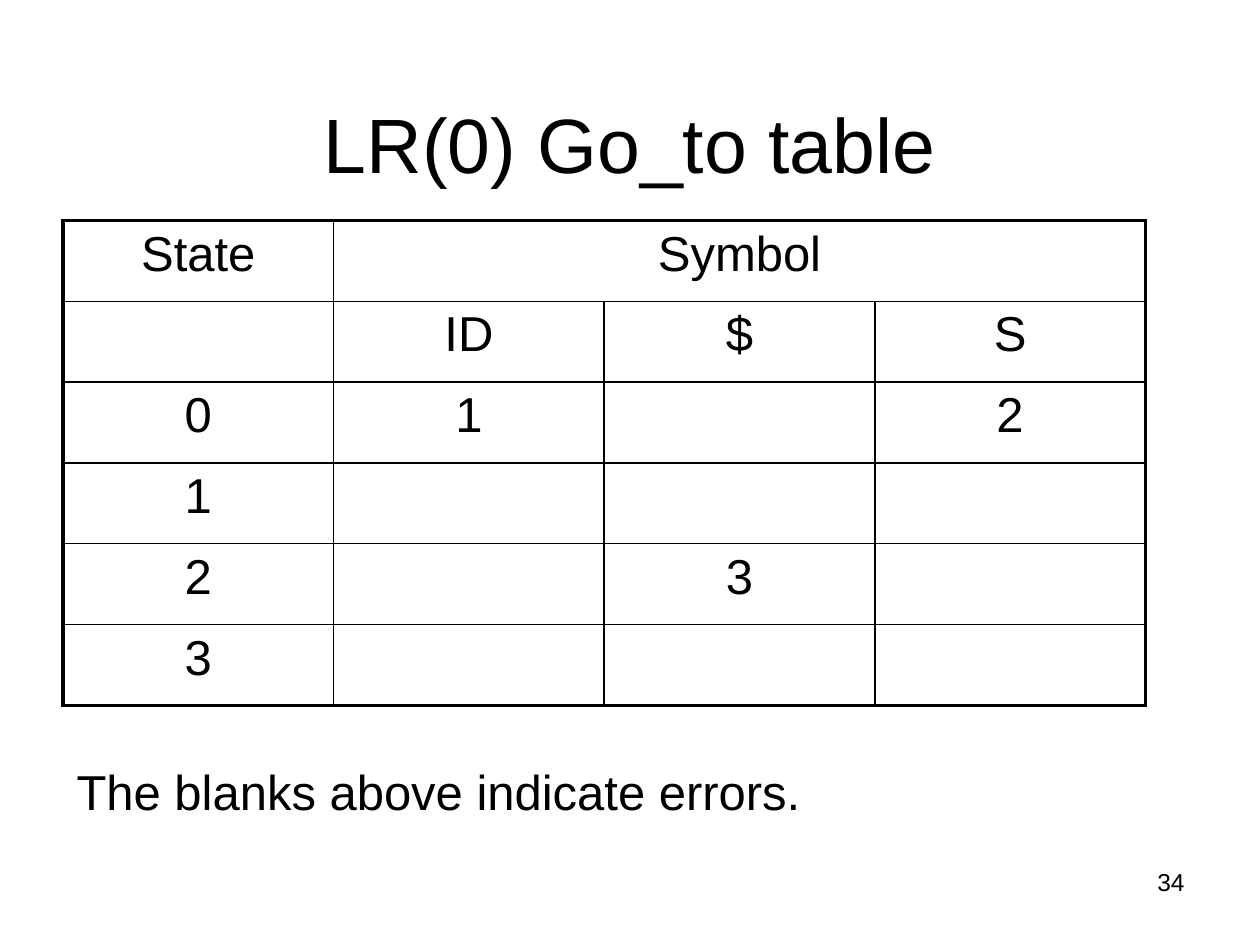
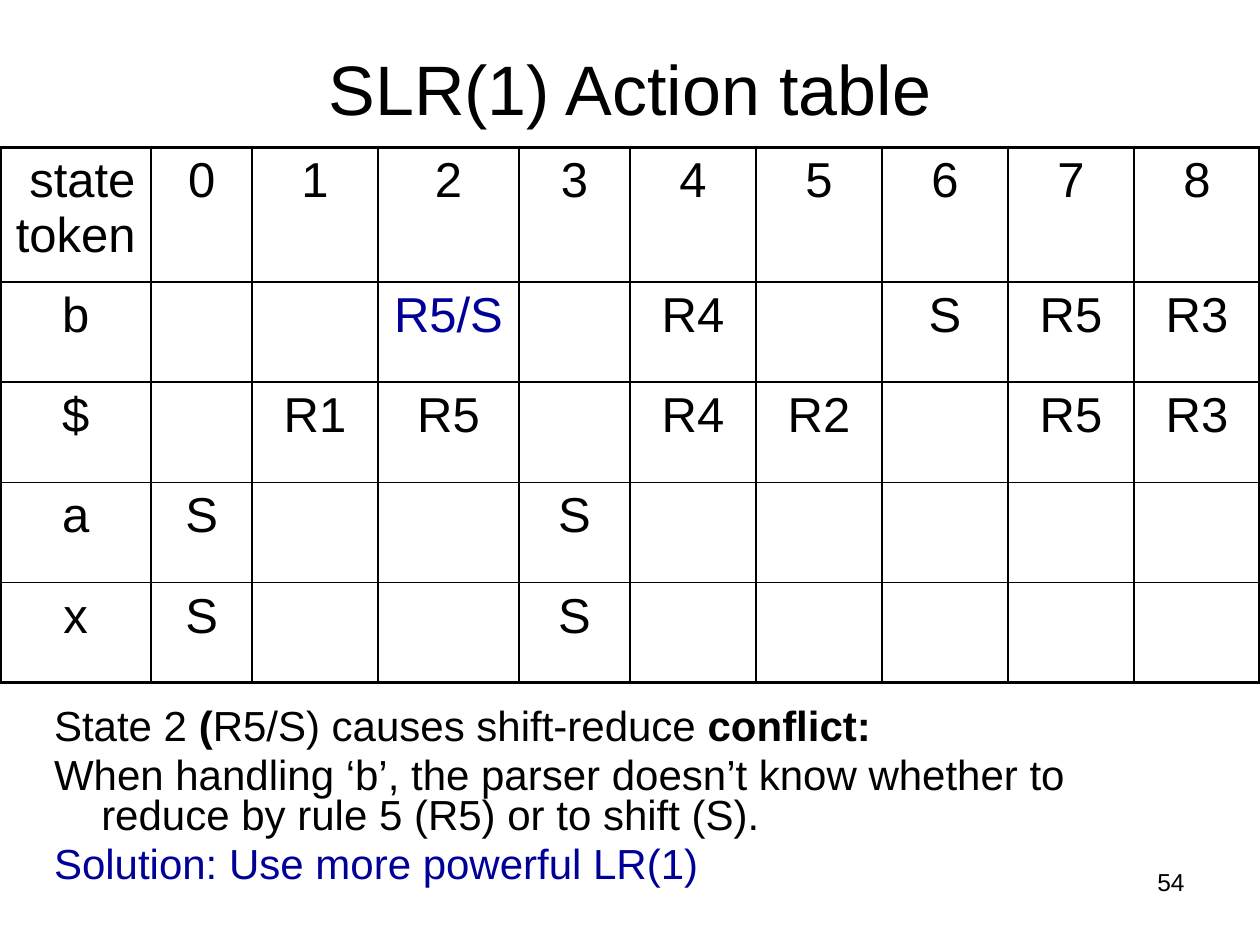
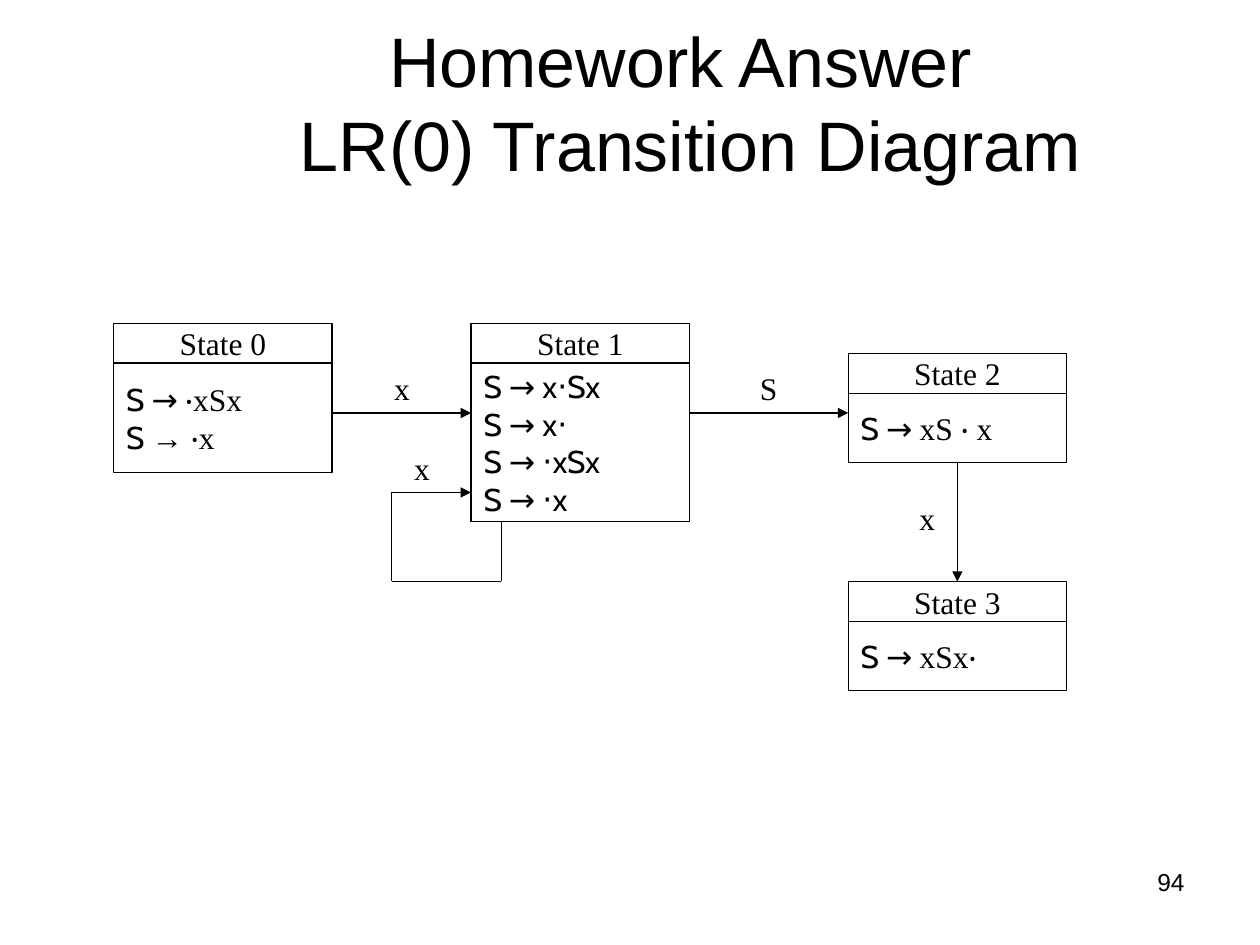
from itertools import pairwise

from lxml.etree import SubElement
from pptx import Presentation
from pptx.dml.color import RGBColor
from pptx.enum.shapes import MSO_CONNECTOR as Connector, MSO_SHAPE as Shape
from pptx.enum.text import MSO_ANCHOR as Anchor, PP_ALIGN as Align
from pptx.oxml.ns import qn
from pptx.util import Pt

BLACK, WHITE, BLUE = "000000", "FFFFFF", "000099"
SANS, SERIF, ITEM = "Arial", "Times New Roman", "Cabin"
THIN, THICK, HAIR = 1, 2.25, 0.75

GOTO = {
    "page": "34",
    "title": (["LR(0) Go_to table"], (36, 21.6, 648, 90), 44),
    "origin": (36, 126),
    "columns": [154.65] * 4,
    "heights": [46.2] * 6,
    "merge": ((0, 1), (0, 3)),
    "rows": [
        ["State", "Symbol", "", ""],
        ["", "ID", "$", "S"],
        ["0", "1", "", "2"],
        ["1", "", "", ""],
        ["2", "", "3", ""],
        ["3", "", "", ""],
    ],
    "remarks": [[("The blanks above indicate errors.", False, BLACK)]],
    "remark_style": ((36.7, 435.6, 432, 44), 28, 0.9),
}

ACTION = {
    "page": "54",
    "title": (["SLR(1) Action table"], (36, 21.6, 648, 56.2), 40),
    "origin": (0, 84.2),
    "columns": [86.4, 57.6, 72, 80.6, 63.4] + [72] * 5,
    "heights": [77] + [57.25] * 4,
    "merge": None,
    "rows": [
        [" state token", "0", "1", "2", "3", "4", "5", "6", "7", "8"],
        ["b", "", "", "R5/S", "", "R4", "", "S", "R5", "R3"],
        ["$", "", "R1", "R5", "", "R4", "R2", "", "R5", "R3"],
        ["a", "S", "", "", "S", "", "", "", "", ""],
        ["x", "S", "", "", "S", "", "", "", "", ""],
    ],
    "remarks": [
        [("State 2 ", False, BLACK), ("(", True, BLACK),
         ("R5/S) causes shift-reduce ", False, BLACK), ("conflict:", True, BLACK)],
        [("When handling ‘b’, the parser doesn’t know whether to "
          "reduce by rule 5 (R5) or to shift (S).", False, BLACK)],
        [("Solution: Use more powerful LR(1)", False, BLUE)],
    ],
    "remark_style": ((23.8, 401.8, 652.3, 108.7), 24, 0.8),
}
CONFLICT = "R5/S"

DIAGRAM_PAGE = "94"
DIAGRAM_TITLE = (["Homework Answer ", "LR(0) Transition Diagram"],
                 (87.8, 54.7, 613.4, 54.7), 40)
STATE_WIDTH, HEADER_HEIGHT = 124.8, 22.7
STATES = [
    ("State 0", 65, 184.8, 62.4,
     [[("S → ", ITEM), ("‧xSx", SERIF)], [("S ", ITEM), ("→ ‧x", SERIF)]]),
    ("State 1", 269.2, 184.8, 90.7,
     [[("S → x‧Sx", ITEM)], [("S → x‧", ITEM)],
      [("S → ‧xSx", ITEM)], [("S → ‧x", ITEM)]]),
    ("State 2", 484.7, 202, 39.6, [[("S → ", ITEM), ("xS ‧ x", SERIF)]]),
    ("State 3", 484.7, 332.4, 39.6, [[("S → ", ITEM), ("xSx‧", SERIF)]]),
]
SHIFT_Y = 236
LOOP = [(286.4, 298.2), (286.4, 332.3), (223.8, 332.3), (223.8, 281.4), (269.2, 281.4)]
EDGE_LABELS = [("x", 229.7, 258.5), ("x", 218.2, 213.1),
               ("S", 427.7, 213.1), ("x", 518.4, 287.3)]
LABEL_SIZE = (23, 17.3)


def color(hex_code):
    return RGBColor.from_string(hex_code)


def points(*lengths):
    return [Pt(length) for length in lengths]


def add_run(paragraph, text, size, font=SANS, tint=BLACK, bold=False):
    run = paragraph.add_run()
    run.text = text
    run.font.size = Pt(size)
    run.font.name = font
    run.font.bold = bold
    run.font.color.rgb = color(tint)


def paragraphs(frame, count):
    return [frame.paragraphs[0]] + [frame.add_paragraph() for _ in range(count - 1)]


def add_text_frame(slide, place):
    frame = slide.shapes.add_textbox(*points(*place)).text_frame
    frame.word_wrap = True
    return frame


def add_page(deck, title, page):
    slide = deck.slides.add_slide(deck.slide_layouts[6])
    number = add_text_frame(slide, (516.2, 491.8, 167.8, 37.4)).paragraphs[0]
    number.alignment = Align.RIGHT
    add_run(number, page, 14)

    lines, place, size = title
    frame = add_text_frame(slide, place)
    frame.vertical_anchor = Anchor.BOTTOM
    heading = frame.paragraphs[0]
    heading.alignment = Align.CENTER
    for index, line in enumerate(lines):
        if index:
            heading.add_line_break()
        add_run(heading, line, size)
    return slide


def set_border(cell, side, width):
    line = SubElement(cell._tc.get_or_add_tcPr(), qn(f"a:ln{side}"), w=str(Pt(width)))
    SubElement(SubElement(line, qn("a:solidFill")), qn("a:srgbClr"), val=BLACK)


def add_parse_table(slide, content):
    rows, widths, heights = content["rows"], content["columns"], content["heights"]
    place = (*content["origin"], sum(widths), sum(heights))
    table = slide.shapes.add_table(len(rows), len(widths), *points(*place)).table
    table.first_row = table.horz_banding = False
    for column, width in zip(table.columns, widths):
        column.width = Pt(width)
    for row, height in zip(table.rows, heights):
        row.height = Pt(height)
    if content["merge"]:
        first, last = content["merge"]
        table.cell(*first).merge(table.cell(*last))

    for r, row in enumerate(rows):
        for c, entry in enumerate(row):
            cell = table.cell(r, c)
            outer = {
                "L": c == 0,
                "R": c + cell.span_width == len(widths),
                "T": r == 0,
                "B": r == len(rows) - 1,
            }
            for side, is_outer in outer.items():
                set_border(cell, side, THICK if is_outer else THIN)
            cell.fill.background()
            if entry:
                paragraph = cell.text_frame.paragraphs[0]
                paragraph.alignment = Align.CENTER
                paragraph.space_before = Pt(5.6)
                add_run(paragraph, entry, 28, tint=BLUE if entry == CONFLICT else BLACK)


def add_remarks(slide, remarks, style):
    place, size, spacing = style
    frame = add_text_frame(slide, place)
    for paragraph, remark in zip(paragraphs(frame, len(remarks)), remarks):
        paragraph.line_spacing = spacing
        paragraph.space_before = Pt(size * 0.2)
        properties = paragraph._p.get_or_add_pPr()
        properties.set("marL", str(Pt(27)))
        properties.set("indent", str(Pt(-27)))
        for text, bold, tint in remark:
            add_run(paragraph, text, size, tint=tint, bold=bold)


def add_box(slide, place, lines, alignment=Align.CENTER, outline=BLACK):
    box = slide.shapes.add_shape(Shape.RECTANGLE, *points(*place))
    box.shadow.inherit = False
    box.fill.solid()
    box.fill.fore_color.rgb = color(WHITE)
    box.line.color.rgb = color(outline)
    box.line.width = Pt(HAIR)
    frame = box.text_frame
    frame.word_wrap = False
    frame.vertical_anchor = Anchor.MIDDLE
    for paragraph, line in zip(paragraphs(frame, len(lines)), lines):
        paragraph.alignment = alignment
        for text, font in line:
            add_run(paragraph, text, 18, font)
    return box


def add_edge(slide, start, end, arrow=True):
    edge = slide.shapes.add_connector(Connector.STRAIGHT, *points(*start, *end))
    edge.line.color.rgb = color(BLACK)
    edge.line.width = Pt(HAIR)
    if arrow:
        SubElement(edge.line._get_or_add_ln(), qn("a:tailEnd"), type="triangle")
    SubElement(edge._element.spPr, qn("a:effectLst"))
    return edge


def add_diagram(slide):
    headers, bodies = [], []
    for name, left, top, height, items in STATES:
        headers.append(add_box(slide, (left, top, STATE_WIDTH, HEADER_HEIGHT),
                               [[(name, SERIF)]]))
        bodies.append(add_box(slide, (left, top + HEADER_HEIGHT, STATE_WIDTH, height),
                              items, Align.LEFT))

    lefts = [state[1] for state in STATES[:3]]
    for source, target in pairwise(lefts):
        add_edge(slide, (source + STATE_WIDTH, SHIFT_Y), (target, SHIFT_Y))

    final_edge = add_edge(slide, (0, 0), (0, 0))
    final_edge.begin_connect(bodies[2], 2)
    final_edge.end_connect(headers[3], 0)

    for start, end in pairwise(LOOP):
        add_edge(slide, start, end, arrow=end == LOOP[-1])
    for symbol, left, top in EDGE_LABELS:
        add_box(slide, (left, top, *LABEL_SIZE), [[(symbol, SERIF)]], outline=WHITE)


def main():
    deck = Presentation()
    deck.slide_width, deck.slide_height = points(720, 540)
    for content in (GOTO, ACTION):
        slide = add_page(deck, content["title"], content["page"])
        add_parse_table(slide, content)
        add_remarks(slide, content["remarks"], content["remark_style"])
    add_diagram(add_page(deck, DIAGRAM_TITLE, DIAGRAM_PAGE))
    deck.save("out.pptx")


if __name__ == "__main__":
    main()
